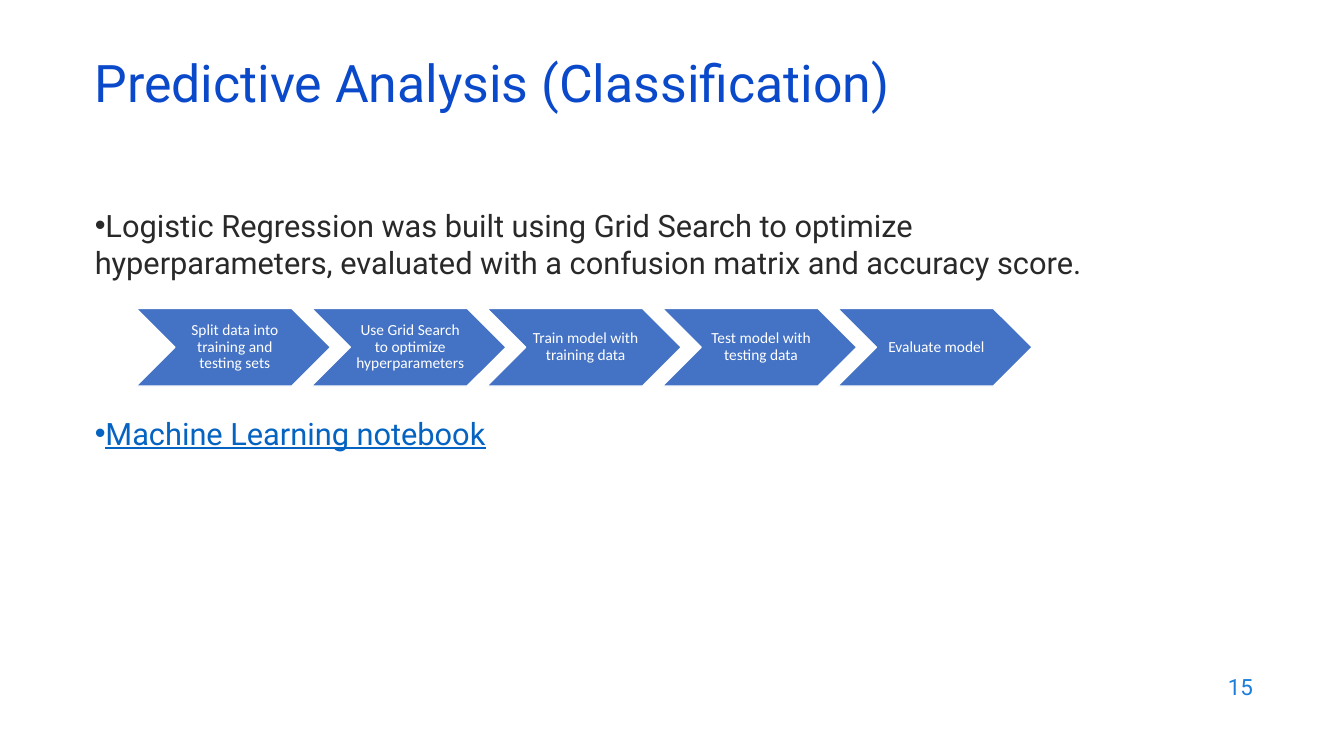
from lxml.etree import SubElement
from pptx import Presentation
from pptx.dml.color import RGBColor
from pptx.enum.shapes import MSO_SHAPE as Shape
from pptx.enum.text import MSO_ANCHOR as Anchor, MSO_AUTO_SIZE as AutoSize, PP_ALIGN as Align
from pptx.oxml.ns import qn
from pptx.util import Inches, Pt

TITLE_BLUE = RGBColor(0x0B, 0x49, 0xCB)
NUMBER_BLUE = RGBColor(0x1C, 0x7D, 0xDB)
LINK_BLUE = RGBColor(0x05, 0x63, 0xC1)
STEP_BLUE = RGBColor(0x44, 0x72, 0xC4)
INK = RGBColor(0x29, 0x29, 0x29)
WHITE = RGBColor(0xFF, 0xFF, 0xFF)

COLUMNS, ROWS = 160, 90
LEFT_EDGE = 10.08

STEPS = [
    "Split data into training and testing sets",
    "Use Grid Search to optimize hyperparameters",
    "Train model with training data",
    "Test model with testing data",
    "Evaluate model",
]


class SlideBuilder:
    """Places styled elements on one slide, measured in grid columns and rows."""

    formats = {
        "title": {"name": "Roboto", "size": Pt(37), "color": TITLE_BLUE},
        "body": {"name": "Roboto", "size": Pt(22), "color": INK},
        "link": {"name": "Roboto", "size": Pt(22), "color": LINK_BLUE, "underline": True},
        "step": {"name": "Calibri", "size": Pt(11), "color": WHITE},
        "number": {"name": "Roboto", "size": Pt(16), "color": NUMBER_BLUE},
    }

    def __init__(self, presentation):
        self.column = presentation.slide_width / COLUMNS
        self.row = presentation.slide_height / ROWS
        self.slide = presentation.slides.add_slide(presentation.slide_layouts[1])

    def area(self, left, top, width, height):
        return (round(left * self.column), round(top * self.row),
                round(width * self.column), round(height * self.row))

    def place(self, shape, area):
        shape.left, shape.top, shape.width, shape.height = self.area(*area)

    def add_text(self, paragraph, text, style, **layout):
        run = paragraph.add_run()
        run.text = text
        for name, value in self.formats[style].items():
            if name == "color":
                run.font.color.rgb = value
            else:
                setattr(run.font, name, value)
        for name, value in layout.items():
            setattr(paragraph, name, value)

    def frame(self, shape, anchor):
        frame = shape.text_frame
        frame.word_wrap = True
        frame.auto_size = AutoSize.NONE
        frame.vertical_anchor = anchor
        return frame

    def title(self, text, area):
        shape = self.slide.shapes.title
        self.place(shape, area)
        paragraph = self.frame(shape, Anchor.MIDDLE).paragraphs[0]
        self.add_text(paragraph, text, "title", alignment=Align.LEFT, line_spacing=0.7)

    def bullets(self, items, area):
        """Fills the body with (text, style, space before) bullets that have no indent."""
        shape = self.slide.placeholders[1]
        self.place(shape, area)
        frame = self.frame(shape, Anchor.TOP)
        for index, (text, style, space) in enumerate(items):
            paragraph = frame.add_paragraph() if index else frame.paragraphs[0]
            properties = paragraph._p.get_or_add_pPr()
            properties.set("marL", "0")
            properties.set("indent", "0")
            SubElement(properties, qn("a:buChar"), char="•")
            self.add_text(paragraph, text, style, space_before=Pt(space))

    def step(self, text, area):
        shape = self.slide.shapes.add_shape(Shape.CHEVRON, *self.area(*area))
        shape.shadow.inherit = False
        shape.fill.solid()
        shape.fill.fore_color.rgb = STEP_BLUE
        shape.line.color.rgb = WHITE
        shape.line.width = Pt(1)
        frame = self.frame(shape, Anchor.MIDDLE)
        frame.margin_left = Inches(0.05)
        for side in ("right", "top", "bottom"):
            setattr(frame, f"margin_{side}", Inches(0.02))
        self.add_text(frame.paragraphs[0], text, "step", alignment=Align.CENTER, line_spacing=0.9)

    def slide_number(self, text, area):
        shape = self.slide.shapes.add_textbox(*self.area(*area))
        paragraph = self.frame(shape, Anchor.MIDDLE).paragraphs[0]
        self.add_text(paragraph, text, "number", alignment=Align.RIGHT)


def main():
    presentation = Presentation()
    presentation.slide_width = Inches(13.33)
    presentation.slide_height = Inches(7.5)
    builder = SlideBuilder(presentation)
    builder.title("Predictive Analysis (Classification)", (LEFT_EDGE, 7.08, 138, 7.2))
    builder.bullets([
        ("Logistic Regression was built using Grid Search to optimize hyperparameters, "
         "evaluated with a confusion matrix and accuracy score.", "body", 0),
        ("Machine Learning notebook", "link", 95.5),
    ], (LEFT_EDGE, 24, 127.5, 57.12))
    for index, text in enumerate(STEPS):
        builder.step(text, (16.2 + index * 20.88, 36.72, 23.16, 9.24))
    builder.slide_number("15", (114.36, 79.08, 36, 5.28))
    presentation.save("out.pptx")


if __name__ == "__main__":
    main()
